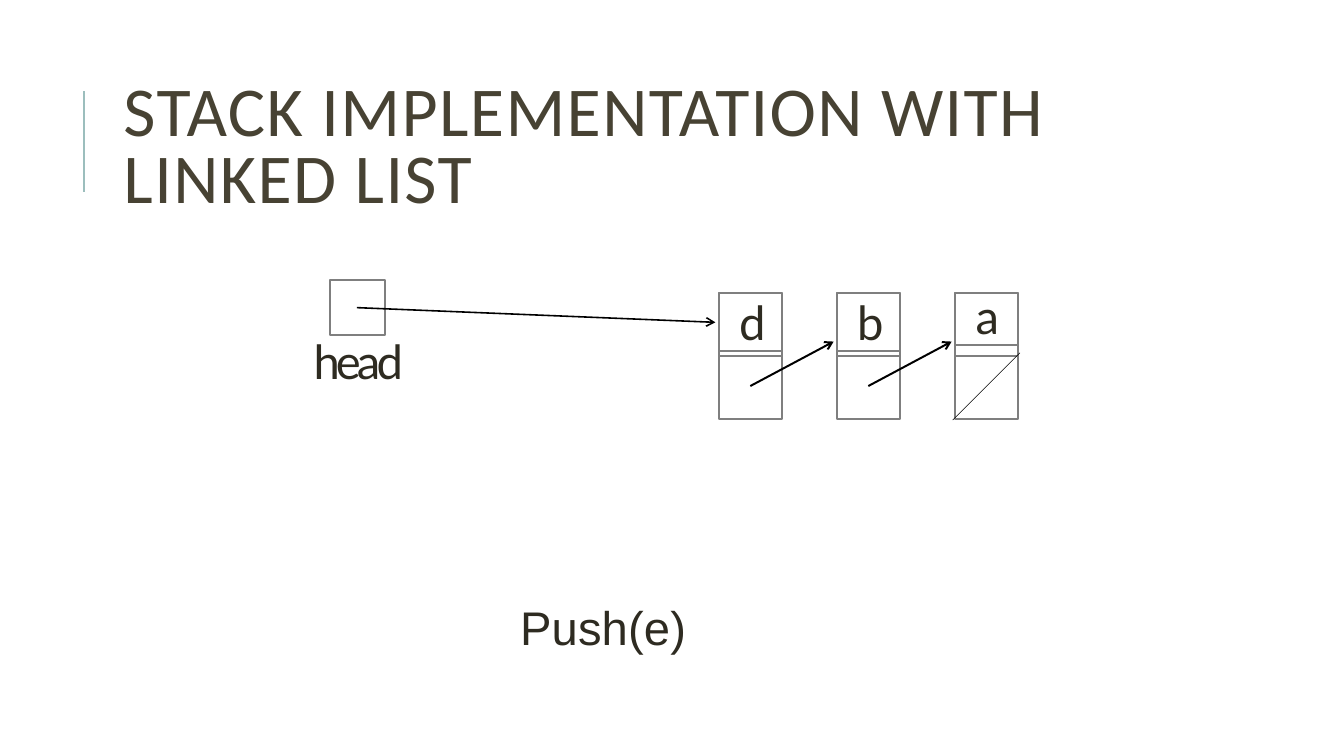
from lxml import etree
from pptx import Presentation
from pptx.dml.color import RGBColor
from pptx.enum import shapes, text
from pptx.oxml import ns
from pptx.util import Pt

INK = RGBColor(0x2E, 0x2B, 0x21)
BROWN = RGBColor(0x47, 0x42, 0x33)
GREY = RGBColor(0x7F, 0x7F, 0x7F)
BLACK = RGBColor(0, 0, 0)
TEAL = RGBColor(0x9C, 0xBE, 0xBD)

deck = Presentation()
deck.slide_width, deck.slide_height = Pt(960), Pt(540)
slide = deck.slides.add_slide(deck.slide_layouts[5])
parts = slide.shapes


def write(shape, words, font, size, color, track, lead=None, left=0, top=0, before=0):
    frame = shape.text_frame
    frame.word_wrap = True
    frame.auto_size = text.MSO_AUTO_SIZE.NONE
    frame.vertical_anchor = text.MSO_ANCHOR.TOP
    frame.margin_left, frame.margin_top = Pt(left), Pt(top)
    frame.margin_right = frame.margin_bottom = 0
    para = frame.paragraphs[0]
    run = para.add_run()
    run.text = words
    para.alignment = text.PP_ALIGN.LEFT
    para.space_before = Pt(before)
    para.line_spacing = lead
    para.font.name, para.font.size = font, Pt(size)
    para.font.color.rgb = color
    run._r.get_or_add_rPr().set("spc", str(round(track * 100)))


def draw(x1, y1, x2, y2, color, width, arrow=False):
    line = parts.add_connector(shapes.MSO_CONNECTOR.STRAIGHT, Pt(x1), Pt(y1), Pt(x2), Pt(y2))
    line.line.color.rgb = color
    line.line.width = Pt(width)
    if arrow:
        tip = etree.SubElement(line.line._get_or_add_ln(), ns.qn("a:tailEnd"))
        tip.set("type", "arrow")
    etree.SubElement(line._element.spPr, ns.qn("a:effectLst"))


# Title and accent line
draw(60, 137, 60, 65, TEAL, 1.5)
title = parts.title
title.left, title.top, title.width, title.height = Pt(81), Pt(46), Pt(765), Pt(118)
write(title, "STACK IMPLEMENTATION WITH LINKED LIST", "Calibri", 50, BROWN, 1,
      lead=0.8, left=7.2, top=3.6)
title.text_frame.vertical_anchor = text.MSO_ANCHOR.MIDDLE

# Cells: head, then value and link of each node
NODE, STEP, TOP, SIDE = 513.5, 84.25, 209, 45
cells = [(235.5, 200, 39.5, 39.5, "", {})]
for i, (name, high, form) in enumerate([
        ("d", 42, dict(left=14.5, top=0.75, before=1)),
        ("b", 42, dict(left=14.5, top=0.75, before=1)),
        ("a", 37.5, dict(left=15, lead=Pt(36.6)))]):
    x = NODE + i * STEP
    cells += [(x, TOP, SIDE, SIDE, "", {}),
              (x, TOP, SIDE, high, name, form),
              (x, TOP + SIDE, SIDE, SIDE, "", {})]
for x, y, wide, high, name, form in cells:
    cell = parts.add_shape(shapes.MSO_SHAPE.RECTANGLE, Pt(x), Pt(y), Pt(wide), Pt(high))
    cell.shadow.inherit = False
    cell.fill.background()
    cell.line.color.rgb = GREY
    cell.line.width = Pt(1.42)
    if name:
        write(cell, name, "Lato", 33.7, INK, -2.3, **form)

# Links between nodes, and the slash of the last one
draw(255, 219.75, 511, 230.25, BLACK, 1.13, arrow=True)
for i in range(2):
    x = NODE + i * STEP
    draw(x + 22.5, 275.75, x + 82, 244, BLACK, 1.42, arrow=True)
draw(680.5, 300, 728.5, 252, BLACK, 0.4)

# Captions
for words, x, y, wide, high, font, track, form in [
        ("head", 222, 235.5, 67, 43, "Lato", -2.8, dict(left=2, top=2, before=2.4)),
        ("Push(e)", 369.5, 430.5, 124, 37.5, "Arial", 0.1, dict(left=2, lead=Pt(37.1)))]:
    box = parts.add_textbox(Pt(x), Pt(y), Pt(wide), Pt(high))
    write(box, words, font, 33.7, INK, track, **form)

deck.save("out.pptx")
